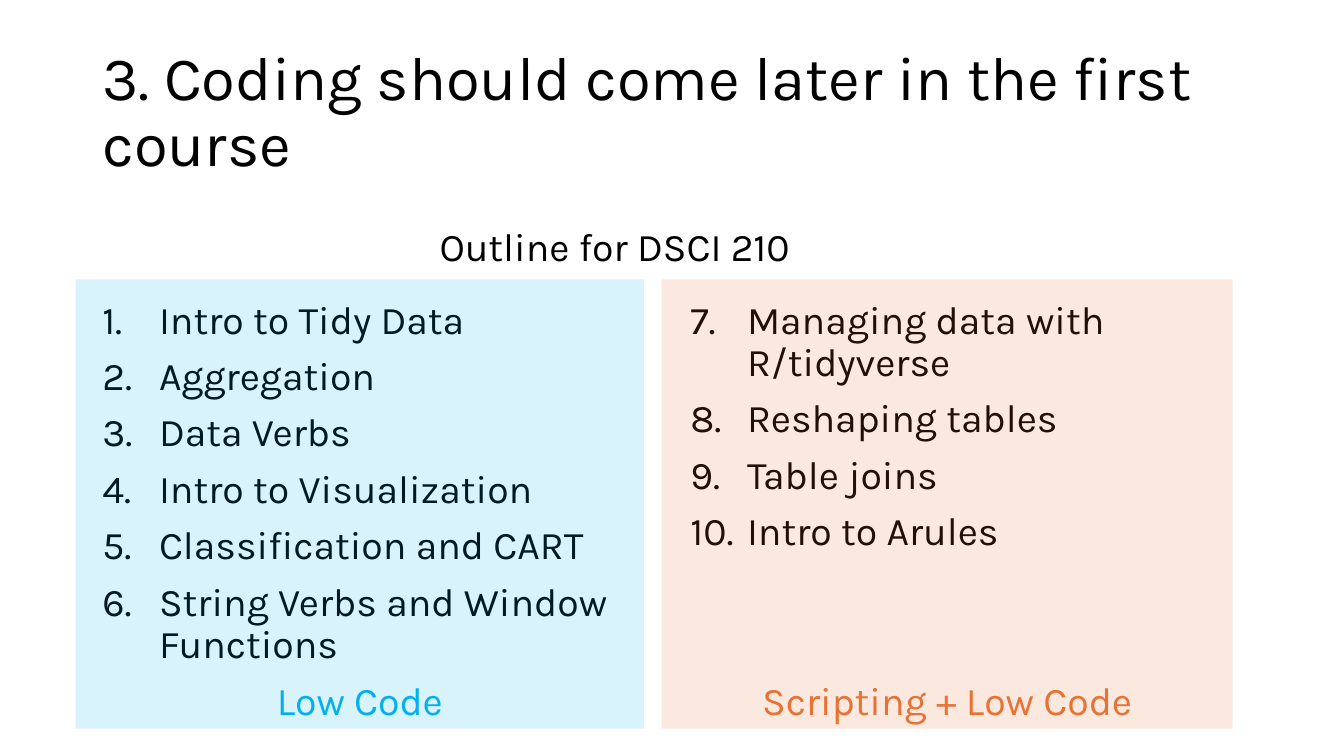
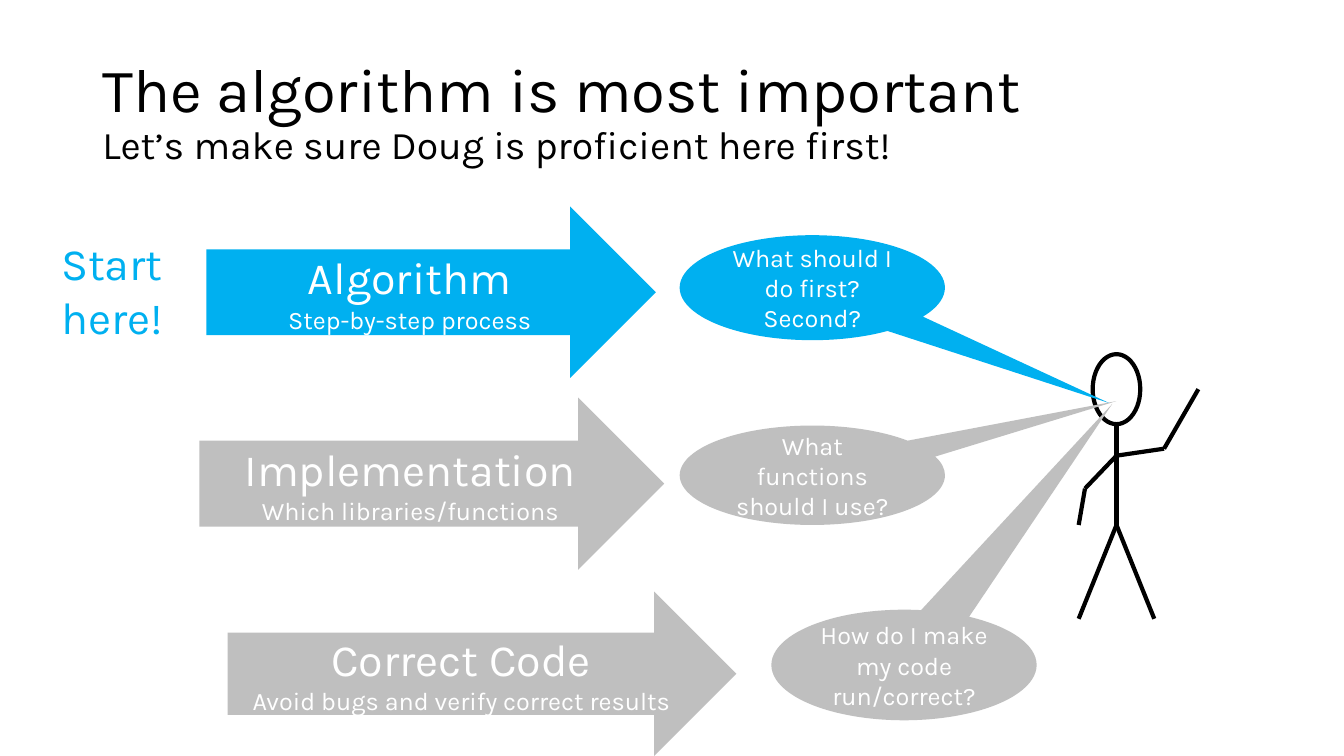
from dataclasses import dataclass

from lxml import etree
from pptx import Presentation
from pptx.dml.color import RGBColor
from pptx.enum.shapes import MSO_CONNECTOR, MSO_SHAPE
from pptx.enum.text import MSO_ANCHOR, PP_ALIGN
from pptx.oxml.ns import qn
from pptx.util import Pt

LEFT, CENTER = PP_ALIGN.LEFT, PP_ALIGN.CENTER
TOP, MIDDLE, BOTTOM = MSO_ANCHOR.TOP, MSO_ANCHOR.MIDDLE, MSO_ANCHOR.BOTTOM
RECT, OVAL = MSO_SHAPE.RECTANGLE, MSO_SHAPE.OVAL
ARROW, CALLOUT = MSO_SHAPE.RIGHT_ARROW, MSO_SHAPE.OVAL_CALLOUT
STRAIGHT = MSO_CONNECTOR.STRAIGHT


@dataclass(frozen=True)
class Theme:
    font: str = "Karla"
    ink: str = "000000"
    paper: str = "FFFFFF"
    blue: str = "00B0F0"
    orange: str = "E97132"
    gray: str = "BFBFBF"
    title: float = 44
    heading: float = 32
    body: float = 28
    small: float = 18
    tight: float = 0.9
    space: float = 10
    indent: float = 40.5
    stroke: float = 3
    tint: int = 15


def rgb(color):
    return RGBColor.from_string(color)


def box(at):
    return [Pt(v) for v in at]


class Deck:
    def __init__(self, theme):
        self.t = theme
        self.prs = Presentation()
        self.prs.slide_width, self.prs.slide_height = Pt(960), Pt(540)
        self.s = None

    # Slide and title
    def slide(self, title, subtitle=None):
        t = self.t
        self.s = self.prs.slides.add_slide(self.prs.slide_layouts[6])
        tf = self.textbox((66, 29, 828, 104), MIDDLE)
        p = self.para(tf, title, t.title, t.ink, LEFT, t.tight)
        if subtitle:
            p.add_line_break()
            self.run(p, subtitle, t.body, t.ink)

    # Text
    def run(self, p, text, size, color):
        r = p.add_run()
        r.text = text
        r.font.name, r.font.size = self.t.font, Pt(size)
        r.font.color.rgb = rgb(color)

    def para(self, tf, text, size, color, align=CENTER, spacing=None):
        first = tf.paragraphs[0]
        p = tf.add_paragraph() if first.runs else first
        p.alignment = align
        if spacing:
            p.line_spacing = spacing
        self.run(p, text, size, color)
        return p

    def textbox(self, at, anchor=TOP):
        tf = self.s.shapes.add_textbox(*box(at)).text_frame
        tf.word_wrap, tf.vertical_anchor = True, anchor
        return tf

    def label(self, at, text, size, color, anchor=TOP, spacing=None):
        self.para(self.textbox(at, anchor), text, size, color, CENTER, spacing)

    def numbered(self, at, items, start):
        t = self.t
        tf = self.textbox(at)
        for item in items:
            p = self.para(tf, item, t.body, t.ink, LEFT, t.tight)
            p.space_before = Pt(t.space)
            pPr = p._p.get_or_add_pPr()
            pPr.set("marL", str(Pt(t.indent)))
            pPr.set("indent", str(-Pt(t.indent)))
            bullet = etree.SubElement(pPr, qn("a:buAutoNum"))
            bullet.set("type", "arabicPeriod")
            bullet.set("startAt", str(start))

    # Shapes
    def shape(self, kind, at, fill=None, line=None, parent=None):
        sp = (parent or self.s).shapes.add_shape(kind, *box(at))
        sp.shadow.inherit = False
        if fill:
            sp.fill.solid()
            sp.fill.fore_color.rgb = rgb(fill)
        else:
            sp.fill.background()
        if line:
            sp.line.color.rgb, sp.line.width = rgb(line), Pt(self.t.stroke)
        else:
            sp.line.fill.background()
        sp.text_frame.word_wrap = True
        sp.text_frame.vertical_anchor = MIDDLE
        return sp

    def panel(self, at, caption, color):
        t = self.t
        sp = self.shape(RECT, at, color)
        clr = sp._element.spPr.find(qn("a:solidFill")).find(qn("a:srgbClr"))
        etree.SubElement(clr, qn("a:alpha")).set("val", str(t.tint * 1000))
        sp.text_frame.vertical_anchor = BOTTOM
        self.para(sp.text_frame, caption, t.body, color, CENTER, t.tight)

    def arrow(self, at, heading, detail, color):
        t = self.t
        tf = self.shape(ARROW, at, color).text_frame
        self.para(tf, heading, t.heading, t.paper)
        self.para(tf, detail, t.small, t.paper)

    def callout(self, at, tip, text, color):
        x, y, w, h = at
        sp = self.shape(CALLOUT, at, color)
        sp.adjustments[0] = (tip[0] - x) / w - 0.5
        sp.adjustments[1] = (tip[1] - y) / h - 0.5
        self.para(sp.text_frame, text, self.t.small, self.t.paper)

    # Stick figure
    def line(self, parent, start, end):
        c = parent.shapes.add_connector(STRAIGHT, *box(start + end))
        c.line.color.rgb, c.line.width = rgb(self.t.ink), Pt(self.t.stroke)
        etree.SubElement(c._element.spPr, qn("a:effectLst"))

    def figure(self, head, limbs):
        grp = self.s.shapes.add_group_shape()
        self.shape(OVAL, head, line=self.t.ink, parent=grp)
        for joints in limbs:
            for start, end in zip(joints, joints[1:]):
                self.line(grp, start, end)


def course_outline(d):
    t = d.t
    d.slide("3. Coding should come later in the first course")
    d.label((242, 147.5, 394, 60), "Outline for DSCI 210", t.body, t.ink,
            MIDDLE, t.tight)
    first = ["Intro to Tidy Data", "Aggregation", "Data Verbs",
             "Intro to Visualization", "Classification and CART",
             "String Verbs and Window Functions"]
    second = ["Managing data with R/tidyverse", "Reshaping tables",
              "Table joins", "Intro to Arules"]
    d.numbered((66, 211, 408, 320), first, 1)
    d.numbered((486, 211, 408, 320), second, len(first) + 1)
    # Tinted panels lie over the lists
    d.panel((54, 199.5, 406, 321), "Low Code", t.blue)
    d.panel((472.5, 199.5, 408, 321), "Scripting + Low Code", t.orange)


def algorithm_first(d):
    t = d.t
    d.slide("The algorithm is most important",
            "Let’s make sure Doug is proficient here first!")

    # Doug
    shoulder, hip = (797.5, 325.5), (797.5, 375)
    d.figure((780.5, 253, 34, 50), [
        [(797.5, 303), shoulder, hip],
        [hip, (824.5, 442)],
        [hip, (770.5, 442)],
        [shoulder, (831.5, 320.5), (856, 278)],
        [shoulder, (775, 349), (770.5, 375)],
    ])

    # Questions
    for at, tip, text, color in [
        ((485.5, 168, 189.5, 75), (792.5, 288),
         "What should I do first? Second?", t.blue),
        ((551, 435.5, 189.5, 79), (794.5, 288.5),
         "How do I make my code run/correct?", t.gray),
        ((485.5, 304, 189.5, 71), (797.5, 286.5),
         "What functions should I use?", t.gray),
    ]:
        d.callout(at, tip, text, color)

    # Steps
    for at, heading, detail, color in [
        ((147.5, 147.5, 321, 122.5), "Algorithm",
         "Step-by-step process", t.blue),
        ((142.5, 284, 332, 123), "Implementation",
         "Which libraries/functions", t.gray),
        ((162.5, 422.5, 363.5, 117.5), "Correct Code",
         "Avoid bugs and verify correct results", t.gray),
    ]:
        d.arrow(at, heading, detail, color)
    d.label((30, 165, 100, 85), "Start here!", t.heading, t.blue)


def main():
    d = Deck(Theme())
    course_outline(d)
    algorithm_first(d)
    d.prs.save("out.pptx")


if __name__ == "__main__":
    main()
